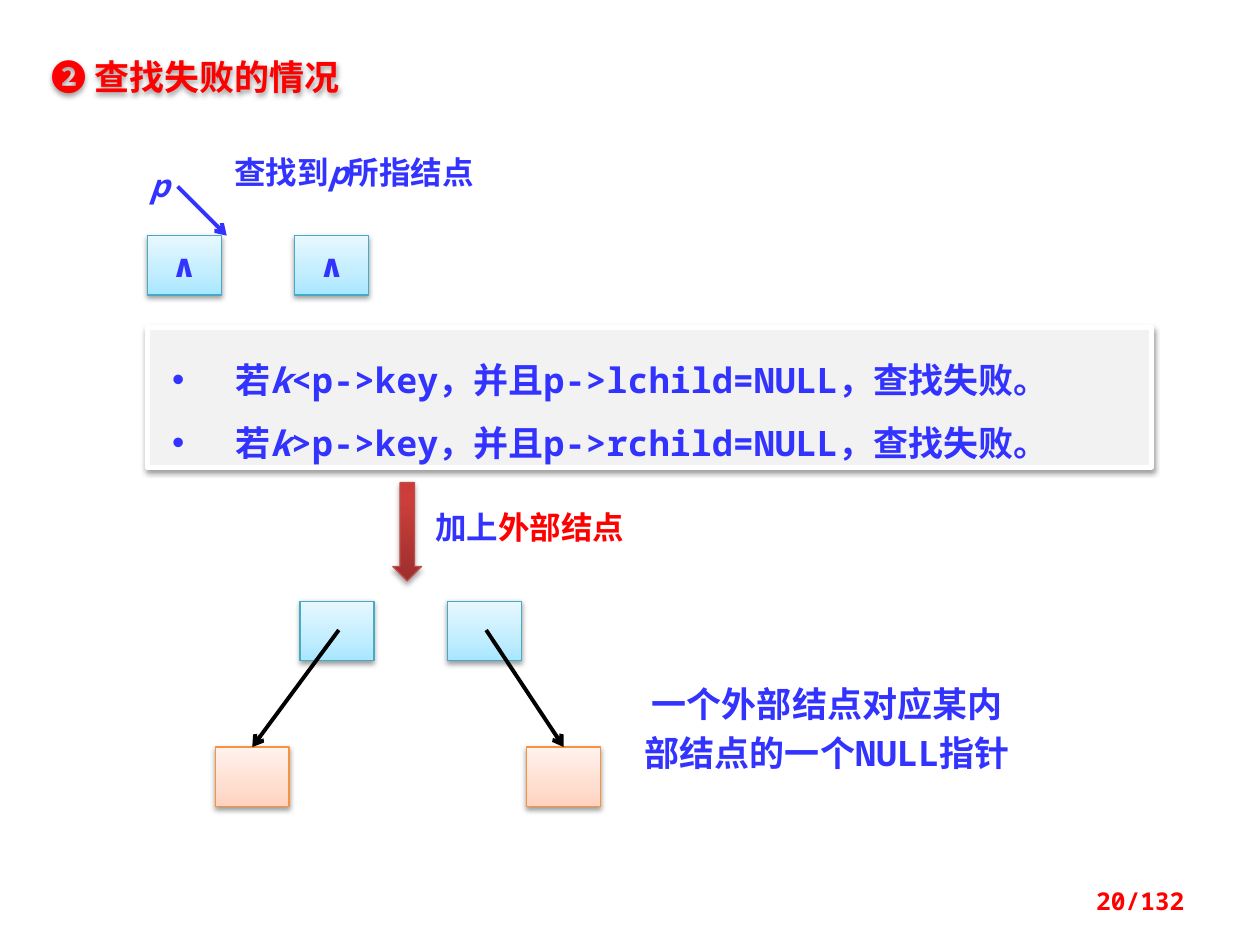
from lxml import etree
from pptx import Presentation
from pptx import util as u
from pptx.dml.color import RGBColor
from pptx.enum import shapes, text
from pptx.oxml import ns

HUES = {"blue": "3333FF", "red": "FF0000", "black": "000000", "white": "FFFFFF",
        "gray": "F2F2F2", "aqua": "46AAC5", "peach": "F69240", "brick": "BF4C48"}
FADES = {"aqua": [(0, "A7E6FF"), (35, "C1EDFF"), (100, "E7F8FF")],
         "peach": [(0, "FFD2BD"), (35, "FFDED0"), (100, "FFF2ED")],
         "brick": [(0, "9C2F2D"), (80, "CB3E3A"), (100, "CE3B37")]}
MONO, SANS = "Noto Sans Mono", "Noto Sans CJK SC"
ALIGN = {"l": text.PP_ALIGN.LEFT, "c": text.PP_ALIGN.CENTER, "r": text.PP_ALIGN.RIGHT}
MID = text.MSO_ANCHOR.MIDDLE
RECT, DOWN = shapes.MSO_SHAPE.RECTANGLE, shapes.MSO_SHAPE.DOWN_ARROW

# Content: lengths in cm; a run is (words, extra format)
ITAL = {"italic": True}
SIZE = (1.49, 1.2)
NODES = [("aqua", 2.97, 4.75, "∧"), ("aqua", 5.94, 4.75, "∧"),
         ("peach", 4.34, 15.06, ""), ("peach", 10.62, 15.06, ""),
         ("aqua", 6.05, 12.12, ""), ("aqua", 9.02, 12.12, "")]
# Start, end, colour, index of the node whose top the arrow meets
LINKS = [((3.58, 3.76), (4.57, 4.75), "blue", None),
         ((6.83, 12.7), (5.08, 15.06), "black", 2),
         ((9.8, 12.7), (11.36, 15.06), "black", 3)]
PANEL = (2.97, 6.6, 20.24, 2.82)
RULES = [[("若", {}), ("k", ITAL), (f"{sign}p->key，并且p->{side}=NULL，查找失败。", {})]
         for sign, side in (("<", "lchild"), (">", "rchild"))]
TITLE = ((0.79, 0.99, 7.54, 1.12), [("❷ 查找失败的情况", {})], SANS, 20, "red", "l")
NOTE = ((12.7, 13.49, 7.95, 2.26), [("一个外部结点对应某内部结点的一个NULL指针", {})],
        MONO, 20, "blue", "c")
PAGE = ((18.21, 17.65, 5.92, 1.02), [("20/132", {})], MONO, 14, "red", "r")
NOTES = [((2.62, 3.23, 1.19, 1.02), [("p", ITAL)], MONO, 18, "blue", "c"),
         ((4.17, 2.97, 5.94, 1.02), [("查找到", {}), ("p", ITAL), ("所指结点", {})],
          MONO, 18, "blue", "c"),
         ((8.53, 10.11, 5.56, 1.02), [("加上", {}), ("外部结点", {"hue": "red"})],
          SANS, 18, "blue", "l")]


def rgb(name):
    return RGBColor.from_string(HUES[name])


def cms(nums):
    return [u.Cm(n) for n in nums]


def xml(body):
    tag, rest = body.split(" ", 1)
    return etree.fromstring(f'{tag} {ns.nsdecls("a")} {rest}')


def shade(item, alpha=38, dist=1.6):
    item._element.spPr.append(xml(
        f'<a:effectLst ><a:outerShdw blurRad="{u.Pt(3.1)}" dist="{u.Pt(dist)}" '
        f'dir="5400000" rotWithShape="0"><a:srgbClr val="000000">'
        f'<a:alpha val="{alpha * 1000}"/></a:srgbClr></a:outerShdw></a:effectLst>'))


def shape(kind, box, fill, line, wide=0.75):
    item = slide.shapes.add_shape(kind, *cms(box))
    item.line.color.rgb = rgb(line)
    item.line.width = u.Pt(wide)
    if fill in FADES:
        stops = "".join(f'<a:gs pos="{pos * 1000}"><a:srgbClr val="{hue}"/></a:gs>'
                        for pos, hue in FADES[fill])
        item._element.spPr.insert(2, xml(
            f'<a:gradFill rotWithShape="1"><a:gsLst>{stops}</a:gsLst>'
            '<a:lin ang="16200000" scaled="0"/></a:gradFill>'))
    else:
        item.fill.solid()
        item.fill.fore_color.rgb = rgb(fill)
    return item


def write(para, runs, face, size, hue, align="l"):
    para.alignment = ALIGN[align]
    for words, extra in runs:
        run = para.add_run()
        run.text = words
        form = {"name": face, "size": u.Pt(size), "bold": True, "italic": False}
        form.update(extra)
        run.font.color.rgb = rgb(form.pop("hue", hue))
        for key, val in form.items():
            setattr(run.font, key, val)
        run.font._element.find(ns.qn("a:latin")).addnext(
            xml(f'<a:ea typeface="{SANS}"/>'))


def label(box, *style):
    item = slide.shapes.add_textbox(*cms(box))
    item.text_frame.word_wrap = True
    write(item.text_frame.paragraphs[0], *style)
    return item


deck = Presentation()
deck.slide_width, deck.slide_height = cms((25.4, 19.05))
slide = deck.slides.add_slide(deck.slide_layouts[6])

# Tree nodes
boxes = []
for tone, left, top, mark in NODES:
    node = shape(RECT, (left, top, *SIZE), tone, tone)
    shade(node)
    if mark:
        node.text_frame.vertical_anchor = MID
        write(node.text_frame.paragraphs[0], [(mark, {})], "Calibri", 18, "blue", "c")
    boxes.append(node)

# Pointers
for start, end, hue, goal in LINKS:
    link = slide.shapes.add_connector(shapes.MSO_CONNECTOR.STRAIGHT, *cms(start + end))
    if goal is not None:
        link.end_connect(boxes[goal], 0)
    link.line.color.rgb = rgb(hue)
    link.line.width = u.Pt(2.25)
    link.line._get_or_add_ln().append(xml('<a:tailEnd type="arrow"/>'))
    link._element.spPr.append(xml("<a:effectLst />"))

# Panel with the two failing cases
panel = shape(RECT, PANEL, "gray", "white", 3)
shade(panel)
frame = panel.text_frame
form = {"word_wrap": True, "vertical_anchor": text.MSO_ANCHOR.TOP,
        "margin_left": u.Cm(0.5), "margin_right": u.Cm(0.25),
        "margin_top": u.Cm(0.2), "margin_bottom": u.Cm(0.2)}
for key, val in form.items():
    setattr(frame, key, val)
for num, rule in enumerate(RULES):
    para = frame.add_paragraph() if num else frame.paragraphs[0]
    para.line_spacing = 1.5
    props = para._p.get_or_add_pPr()
    props.set("marL", str(u.Cm(1.27)))
    props.set("indent", str(-u.Cm(1.27)))
    props.append(xml('<a:buFont typeface="Arial"/>'))
    props.append(xml('<a:buChar char="•"/>'))
    write(para, rule, MONO, 20, "blue")

# Step arrow
shade(shape(DOWN, (7.92, 9.73, 0.58, 1.98), "brick", "brick"), 35, 1.8)

# Labels
for note in NOTES:
    label(*note)
shade(label(*TITLE))
label(*NOTE).text_frame.paragraphs[0].line_spacing = u.Pt(28)
label(*PAGE).text_frame.vertical_anchor = MID

deck.save("out.pptx")
